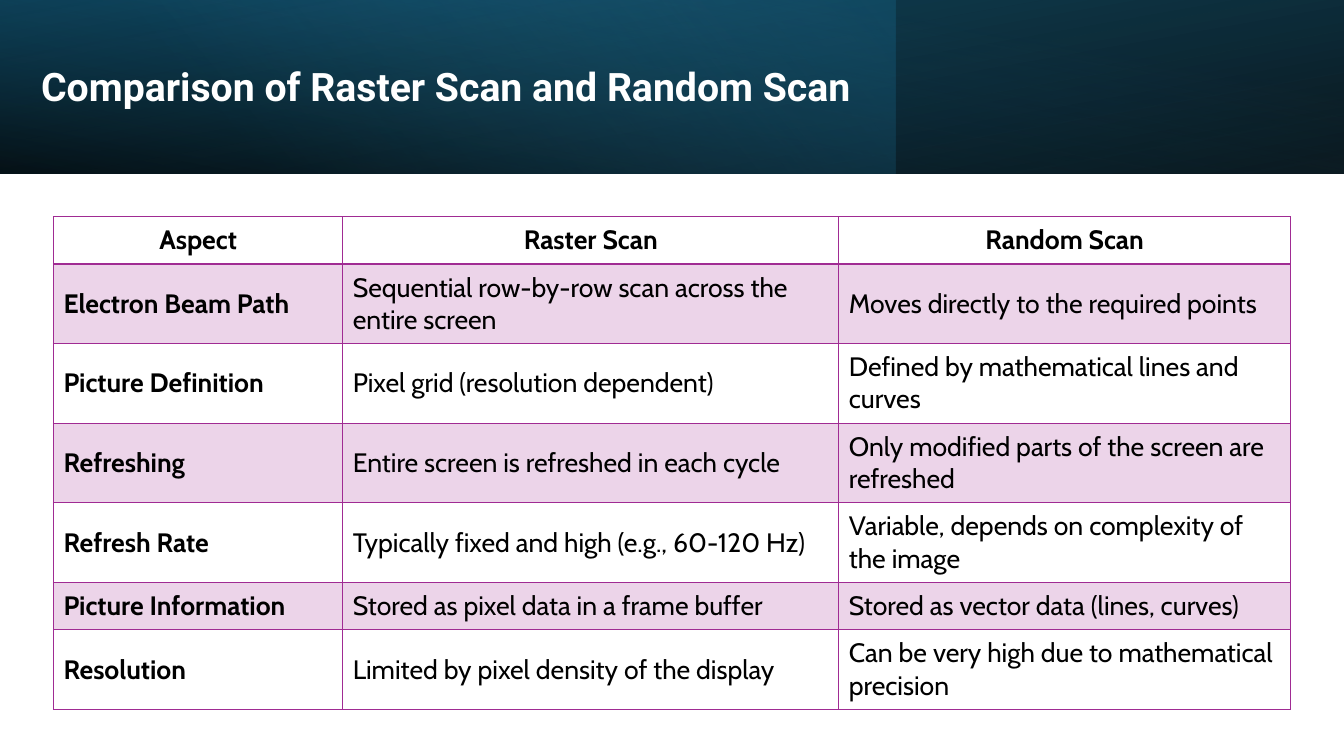
from dataclasses import dataclass

from lxml import etree
from pptx import Presentation
from pptx.dml.color import RGBColor
from pptx.enum.shapes import MSO_SHAPE
from pptx.enum.text import MSO_ANCHOR, PP_ALIGN
from pptx.oxml.ns import qn
from pptx.util import Inches, Pt


@dataclass(frozen=True)
class Theme:
    black: str = "000000"
    white: str = "FFFFFF"
    navy: str = "104862"
    teal: str = "156082"
    sky: str = "46B1E1"
    purple: str = "A02B93"
    band_alpha: int = 20
    title_font: str = "Roboto"
    table_font: str = "Cabin"
    title_size: int = 28
    table_size: int = 19


THEME = Theme()
SLIDE_W, SLIDE_H = 13.33, 7.5
TITLE = "Comparison of Raster Scan and Random Scan"
COL_WIDTHS = [2.87, 4.92, 4.48]
ONE_LINE, TWO_LINES = 0.47, 0.79
ROWS = [
    (ONE_LINE, "Aspect", "Raster Scan", "Random Scan"),
    (TWO_LINES, "Electron Beam Path", "Sequential row-by-row scan across the entire screen",
     "Moves directly to the required points"),
    (TWO_LINES, "Picture Definition", "Pixel grid (resolution dependent)",
     "Defined by mathematical lines and curves"),
    (TWO_LINES, "Refreshing", "Entire screen is refreshed in each cycle",
     "Only modified parts of the screen are refreshed"),
    (TWO_LINES, "Refresh Rate", "Typically fixed and high (e.g., 60-120 Hz)",
     "Variable, depends on complexity of the image"),
    (ONE_LINE, "Picture Information", "Stored as pixel data in a frame buffer",
     "Stored as vector data (lines, curves)"),
    (TWO_LINES, "Resolution", "Limited by pixel density of the display",
     "Can be very high due to mathematical precision"),
]


def add_color(parent, color, alpha=100):
    clr = etree.SubElement(parent, qn("a:srgbClr"), val=color)
    if alpha < 100:
        etree.SubElement(clr, qn("a:alpha"), val=str(alpha * 1000))


def style_run(r, font, size, color, bold):
    r.font.name, r.font.size, r.font.bold = font, Pt(size), bold
    r.font.color.rgb = RGBColor.from_string(color)


def add_gradient(slide, box, stops, angle, flip=False, rotation=0):
    """Rectangle with a linear gradient; stops are (position, colour, alpha) in percent."""
    sp = slide.shapes.add_shape(MSO_SHAPE.RECTANGLE, *map(Inches, box))
    sp.shadow.inherit = False
    sp.line.fill.background()
    sp.rotation = rotation
    xfrm = sp._element.spPr.find(qn("a:xfrm"))
    if flip:
        xfrm.set("flipH", "1")
    grad = etree.Element(qn("a:gradFill"), rotWithShape="1")
    gs_list = etree.SubElement(grad, qn("a:gsLst"))
    for pos, color, alpha in stops:
        gs = etree.SubElement(gs_list, qn("a:gs"), pos=str(pos * 1000))
        add_color(gs, color, alpha)
    etree.SubElement(grad, qn("a:lin"), ang=str(angle * 60000), scaled="0")
    sp._element.spPr.find(qn("a:prstGeom")).addnext(grad)


def add_banner(slide, x, y, w, h):
    t = THEME
    add_gradient(slide, (x, y, w, h), [(0, t.black, 96), (100, t.navy, 100)], 100,
                 flip=True, rotation=180)
    add_gradient(slide, (x, y, w * 2 / 3, h), [(0, t.teal, 41), (74, t.sky, 0)], 140)
    add_gradient(slide, (x, y, w, h), [(0, t.black, 63), (78, t.teal, 15)], 260, flip=True)

    title = slide.shapes.add_textbox(Inches(x + 0.31), Inches(y + 0.25),
                                     Inches(9.07), Inches(h - 0.45))
    tf = title.text_frame
    tf.word_wrap = True
    tf.vertical_anchor = MSO_ANCHOR.MIDDLE
    tf.text = TITLE
    p = tf.paragraphs[0]
    p.line_spacing = 0.9
    style_run(p.runs[0], t.title_font, t.title_size, t.white, True)


def set_borders(cell, top, bottom):
    """Draw all four sides, with the top and bottom widths in points."""
    tc_pr = cell._tc.get_or_add_tcPr()
    sides = [("a:lnL", 1), ("a:lnR", 1), ("a:lnT", top), ("a:lnB", bottom)]
    for i, (tag, width) in enumerate(sides):
        ln = etree.Element(qn(tag), w=str(Pt(width)))
        add_color(etree.SubElement(ln, qn("a:solidFill")), THEME.purple)
        tc_pr.insert(i, ln)


def fill_cell(cell, banded):
    if not banded:
        cell.fill.background()
        return
    cell.fill.solid()
    cell.fill.fore_color.rgb = RGBColor.from_string(THEME.purple)
    clr = cell._tc.tcPr.find(qn("a:solidFill")).find(qn("a:srgbClr"))
    etree.SubElement(clr, qn("a:alpha"), val=str(THEME.band_alpha * 1000))


def add_comparison_table(slide, x, y, w, h):
    frame = slide.shapes.add_table(len(ROWS), len(COL_WIDTHS), *map(Inches, (x, y, w, h)))
    table = frame.table
    table.first_row = table.horz_banding = False
    for col, width in zip(table.columns, COL_WIDTHS):
        col.width = Inches(width)
    for i, (height, *texts) in enumerate(ROWS):
        table.rows[i].height = Inches(height)
        for j, text in enumerate(texts):
            cell = table.cell(i, j)
            cell.text = text
            cell.vertical_anchor = MSO_ANCHOR.MIDDLE
            p = cell.text_frame.paragraphs[0]
            p.alignment = PP_ALIGN.CENTER if i == 0 else PP_ALIGN.LEFT
            style_run(p.runs[0], THEME.table_font, THEME.table_size, THEME.black,
                      i == 0 or j == 0)
            fill_cell(cell, i % 2 == 1)
            set_borders(cell, top=2 if i == 1 else 1, bottom=2 if i == 0 else 1)


def main():
    prs = Presentation()
    prs.slide_width, prs.slide_height = Inches(SLIDE_W), Inches(SLIDE_H)
    slide = prs.slides.add_slide(prs.slide_layouts[6])
    add_banner(slide, 0, 0, SLIDE_W, 1.72)
    add_comparison_table(slide, 0.53, 2.15, sum(COL_WIDTHS), sum(row[0] for row in ROWS))
    prs.save("out.pptx")


if __name__ == "__main__":
    main()
